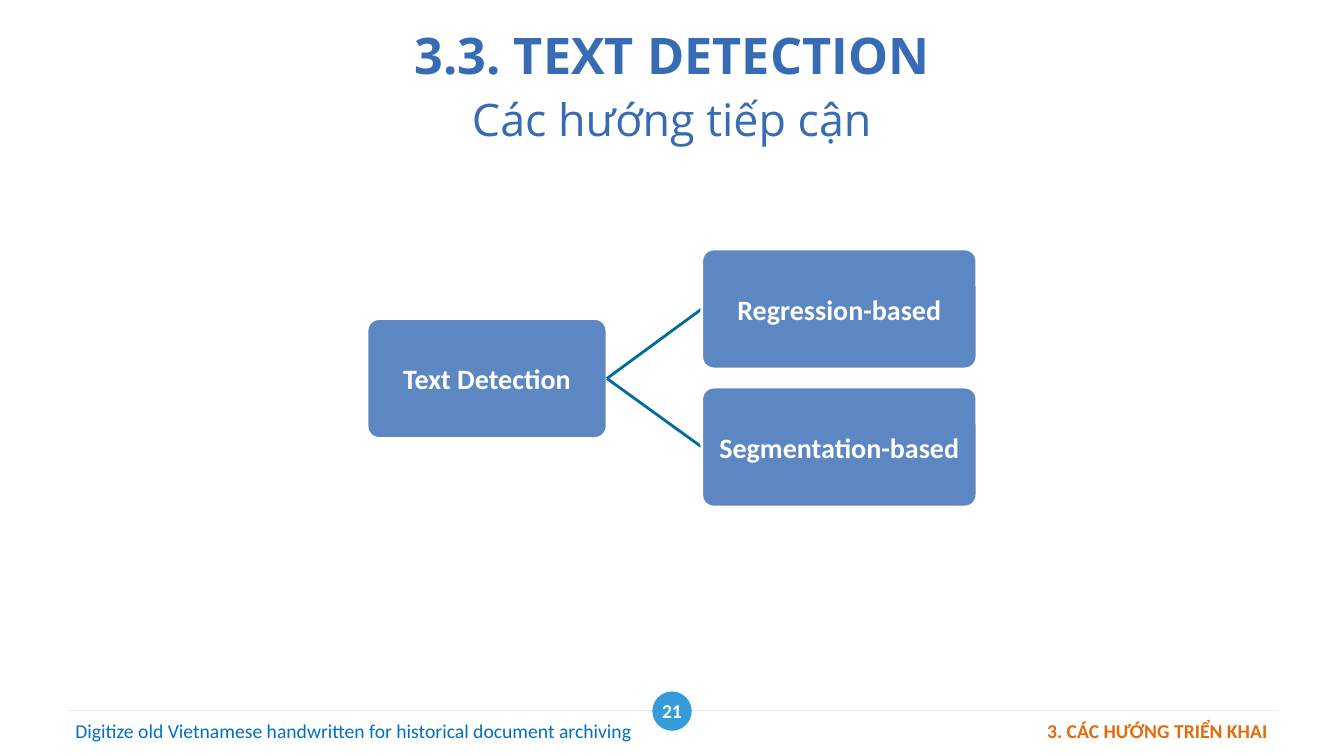
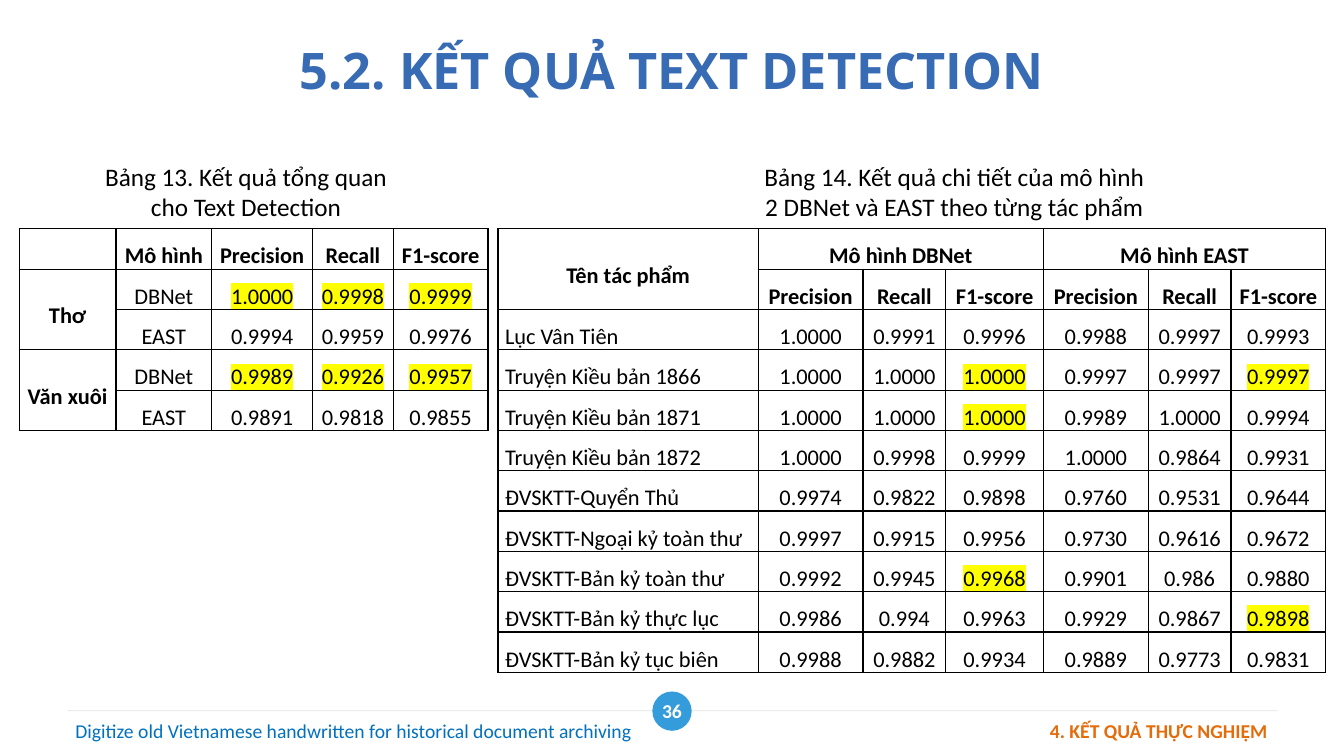
"""Build two slides on text detection: an approach tree and result tables."""
import lxml.etree
import pptx
import pptx.dml.color
import pptx.enum.shapes
import pptx.enum.text
import pptx.oxml.ns
import pptx.util

RGB = pptx.dml.color.RGBColor
ALIGN = pptx.enum.text.PP_ALIGN
MIDDLE = pptx.enum.text.MSO_ANCHOR.MIDDLE
SHAPE = pptx.enum.shapes.MSO_SHAPE
STRAIGHT = pptx.enum.shapes.MSO_CONNECTOR.STRAIGHT

PX = 9144
WHITE = RGB(0xFF, 0xFF, 0xFF)
BLACK = RGB(0x00, 0x00, 0x00)
TITLE_BLUE = RGB(0x37, 0x6B, 0xB4)
NODE_BLUE = RGB(0x5D, 0x87, 0xC2)
BRANCH_TEAL = RGB(0x01, 0x6C, 0x9A)
BADGE_BLUE = RGB(0x35, 0x9C, 0xDB)
FOOTER_BLUE = RGB(0x00, 0x70, 0xC0)
SECTION_ORANGE = RGB(0xE4, 0x6C, 0x0A)
RULE_GREY = RGB(0xD9, 0xD9, 0xD9)
HIGHLIGHT = RGB(0xFF, 0xFF, 0x00)
BODY_FONT = "Calibri"
TITLE_FONT = "Open Sans"

PROJECT = "Digitize old Vietnamese handwritten for historical document archiving"
SCORES = ("Precision", "Recall", "F1-score")
SUMMARY = (
    ("", "Mô hình", *SCORES),
    ("Thơ", "DBNet", "*1.0000", "*0.9998", "*0.9999"),
    ("", "EAST", "0.9994", "0.9959", "0.9976"),
    ("Văn xuôi", "DBNet", "*0.9989", "*0.9926", "*0.9957"),
    ("", "EAST", "0.9891", "0.9818", "0.9855"),
)
DETAILS = (
    ("Tên tác phẩm", "Mô hình DBNet", "", "", "Mô hình EAST", "", ""),
    ("", *SCORES, *SCORES),
    ("Lục Vân Tiên", "1.0000", "0.9991", "0.9996", "0.9988", "0.9997", "0.9993"),
    ("Truyện Kiều bản 1866", "1.0000", "1.0000", "*1.0000", "0.9997", "0.9997", "*0.9997"),
    ("Truyện Kiều bản 1871", "1.0000", "1.0000", "*1.0000", "0.9989", "1.0000", "0.9994"),
    ("Truyện Kiều bản 1872", "1.0000", "0.9998", "0.9999", "1.0000", "0.9864", "0.9931"),
    ("ĐVSKTT-Quyển Thủ", "0.9974", "0.9822", "0.9898", "0.9760", "0.9531", "0.9644"),
    ("ĐVSKTT-Ngoại kỷ toàn thư", "0.9997", "0.9915", "0.9956", "0.9730", "0.9616", "0.9672"),
    ("ĐVSKTT-Bản kỷ toàn thư", "0.9992", "0.9945", "*0.9968", "0.9901", "0.986", "0.9880"),
    ("ĐVSKTT-Bản kỷ thực lục", "0.9986", "0.994", "0.9963", "0.9929", "0.9867", "*0.9898"),
    ("ĐVSKTT-Bản kỷ tục biên", "0.9988", "0.9882", "0.9934", "0.9889", "0.9773", "0.9831"),
)


def px(*lengths):
    """Turn lengths in px into EMU."""
    return [length * PX for length in lengths]


def add_xml(parent, tag, **attributes):
    """Append a DrawingML element and return it."""
    return lxml.etree.SubElement(parent, pptx.oxml.ns.qn(tag), attributes)


def style(paragraph, size, color, bold=False, align=ALIGN.CENTER, font=BODY_FONT):
    """Set alignment and font of a paragraph."""
    paragraph.alignment = align
    paragraph.font.name = font
    paragraph.font.size = pptx.util.Pt(size)
    paragraph.font.bold = bold
    paragraph.font.color.rgb = color


def set_margins(holder, side, end):
    """Set the inner margins of a text frame or a cell."""
    holder.margin_left = holder.margin_right = side * PX
    holder.margin_top = holder.margin_bottom = end * PX


def add_label(slide, box, text, size, color, **look):
    """Place a wrapped line of text in a box."""
    frame = slide.shapes.add_textbox(*px(*box)).text_frame
    frame.word_wrap = True
    frame.text = text
    style(frame.paragraphs[0], size, color, **look)


def add_title(slide, box, heading, subtitle=None):
    """Place the slide title with an optional lighter second line."""
    frame = slide.shapes.add_textbox(*px(*box)).text_frame
    frame.word_wrap = True
    frame.vertical_anchor = MIDDLE
    set_margins(frame, 13, 7)
    paragraph = frame.paragraphs[0]
    style(paragraph, 36, TITLE_BLUE, bold=True, font=TITLE_FONT)
    paragraph.add_run().text = heading
    if subtitle:
        paragraph.line_spacing = pptx.util.Pt(43.2)
        paragraph.add_line_break()
        second = paragraph.add_run()
        second.text = subtitle
        second.font.size = pptx.util.Pt(32)
        second.font.bold = False


def add_line(slide, start, end, color, width):
    """Draw a straight connector without shadow."""
    line = slide.shapes.add_connector(STRAIGHT, *px(*start, *end))
    line.line.color.rgb = color
    line.line.width = pptx.util.Pt(width)
    add_xml(line._element.spPr, "a:effectLst")
    return line


def add_shape(slide, kind, box, fill, text, size):
    """Draw a filled shape with bold white centred text."""
    shape = slide.shapes.add_shape(kind, *px(*box))
    shape.shadow.inherit = False
    shape.fill.solid()
    shape.fill.fore_color.rgb = fill
    shape.line.fill.background()
    frame = shape.text_frame
    frame.vertical_anchor = MIDDLE
    frame.word_wrap = False
    set_margins(frame, 1, 1)
    frame.text = text
    style(frame.paragraphs[0], size, WHITE, bold=True)
    return shape


def add_footer(slide, number, section):
    """Place the rule, page badge, project name and section name."""
    rule = add_line(slide, (67, 705), (1267, 705), RULE_GREY, 0.75)
    tint = rule._element.spPr.find(".//" + pptx.oxml.ns.qn("a:srgbClr"))
    add_xml(tint, "a:alpha", val="50000")
    add_shape(slide, SHAPE.OVAL, (647, 686, 39, 39), BADGE_BLUE, number, 14)
    add_label(slide, (65, 708, 593, 34), PROJECT, 14, FOOTER_BLUE, align=ALIGN.LEFT)
    add_label(slide, (695, 708, 572, 34), section, 14, SECTION_ORANGE,
              bold=True, align=ALIGN.RIGHT)


def add_node(slide, box, text):
    """Draw one rounded node of the tree."""
    node = add_shape(slide, SHAPE.ROUNDED_RECTANGLE, box, NODE_BLUE, text, 20)
    node.adjustments[0] = 0.1
    node.line.color.rgb = WHITE
    node.line.width = pptx.util.Pt(2)
    return node


def add_tree(slide, box, root_text, branches):
    """Draw a root joined to a column of branches, filling the box."""
    left, top, width, height = box
    root_width, branch_width, node_height = 238, 273, 119
    middle = top + height // 2
    branch_left = left + width - branch_width
    pitch = (height - node_height) // (len(branches) - 1)
    root = add_node(slide, (left, middle - node_height // 2, root_width, node_height), root_text)
    for index, text in enumerate(branches):
        branch_top = top + index * pitch
        joint = add_line(slide, (left + root_width, middle),
                         (branch_left, branch_top + node_height // 2), BRANCH_TEAL, 2)
        branch = add_node(slide, (branch_left, branch_top, branch_width, node_height), text)
        joint.begin_connect(root, 3)
        joint.end_connect(branch, 1)


def fill_cell(cell, text, bold, align):
    """Give a cell its borders and text; a leading star highlights the text."""
    cell.vertical_anchor = MIDDLE
    set_margins(cell, 7, 0)
    properties = cell._tc.get_or_add_tcPr()
    for side in ("a:lnL", "a:lnR", "a:lnT", "a:lnB"):
        border = add_xml(properties, side, w=str(pptx.util.Pt(1)))
        add_xml(add_xml(border, "a:solidFill"), "a:srgbClr", val=str(BLACK))
    cell.fill.background()
    if not text:
        return
    paragraph = cell.text_frame.paragraphs[0]
    paragraph.line_spacing = 1.5
    style(paragraph, 16, BLACK, bold=bold, align=align)
    run = paragraph.add_run()
    run.text = text.lstrip("*")
    if text.startswith("*"):
        mark = add_xml(run._r.get_or_add_rPr(), "a:highlight")
        add_xml(mark, "a:srgbClr", val=str(HIGHLIGHT))


def add_scores(slide, corner, widths, rows, merges, header_rows, label_bold, label_align):
    """Place a ruled score table with its top left at the corner."""
    row_height = 36
    frame = slide.shapes.add_table(len(rows), len(widths),
                                   *px(*corner, sum(widths), row_height * len(rows)))
    table = frame.table
    table.first_row = table.horz_banding = False
    for column, width in zip(table.columns, widths):
        column.width = width * PX
    for r, row in enumerate(rows):
        table.rows[r].height = row_height * PX
        for c, text in enumerate(row):
            header = r < header_rows
            label = c == 0 and not header
            fill_cell(table.cell(r, c), text, header or (label and label_bold),
                      label_align if label else ALIGN.CENTER)
    for first, last in merges:
        table.cell(*first).merge(table.cell(*last))


def build_approaches(slide):
    """Fill the slide on approaches to text detection."""
    add_footer(slide, "21", "3. CÁC HƯỚNG TRIỂN KHAI")
    add_title(slide, (129, 31, 1075, 106), "3.3. TEXT DETECTION", "Các hướng tiếp cận")
    add_tree(slide, (364, 247, 605, 256), "Text Detection",
             ("Regression-based", "Segmentation-based"))


def build_results(slide):
    """Fill the slide with summary and detailed results."""
    add_footer(slide, "36", "4. KẾT QUẢ THỰC NGHIỆM")
    add_title(slide, (173, 30, 987, 78), "5.2. KẾT QUẢ TEXT DETECTION")
    add_label(slide, (87, 155, 314, 71), "Bảng 13. Kết quả tổng quan cho Text Detection", 18, BLACK)
    add_scores(slide, (19, 227), (96, 95, 100, 80, 94), SUMMARY,
               (((1, 0), (2, 0)), ((3, 0), (4, 0))), 1, True, ALIGN.CENTER)
    add_label(slide, (747, 155, 399, 71),
              "Bảng 14. Kết quả chi tiết của mô hình 2 DBNet và EAST theo từng tác phẩm", 18, BLACK)
    add_scores(slide, (494, 227), (258, 104, 82, 97, 104, 82, 94), DETAILS,
               (((0, 0), (1, 0)), ((0, 1), (0, 3)), ((0, 4), (0, 6))), 2, False, ALIGN.LEFT)


def main():
    """Build and save the presentation."""
    presentation = pptx.Presentation()
    presentation.slide_width, presentation.slide_height = px(1333, 750)
    blank = presentation.slide_layouts[6]
    for build in (build_approaches, build_results):
        build(presentation.slides.add_slide(blank))
    presentation.save("out.pptx")


if __name__ == "__main__":
    main()
